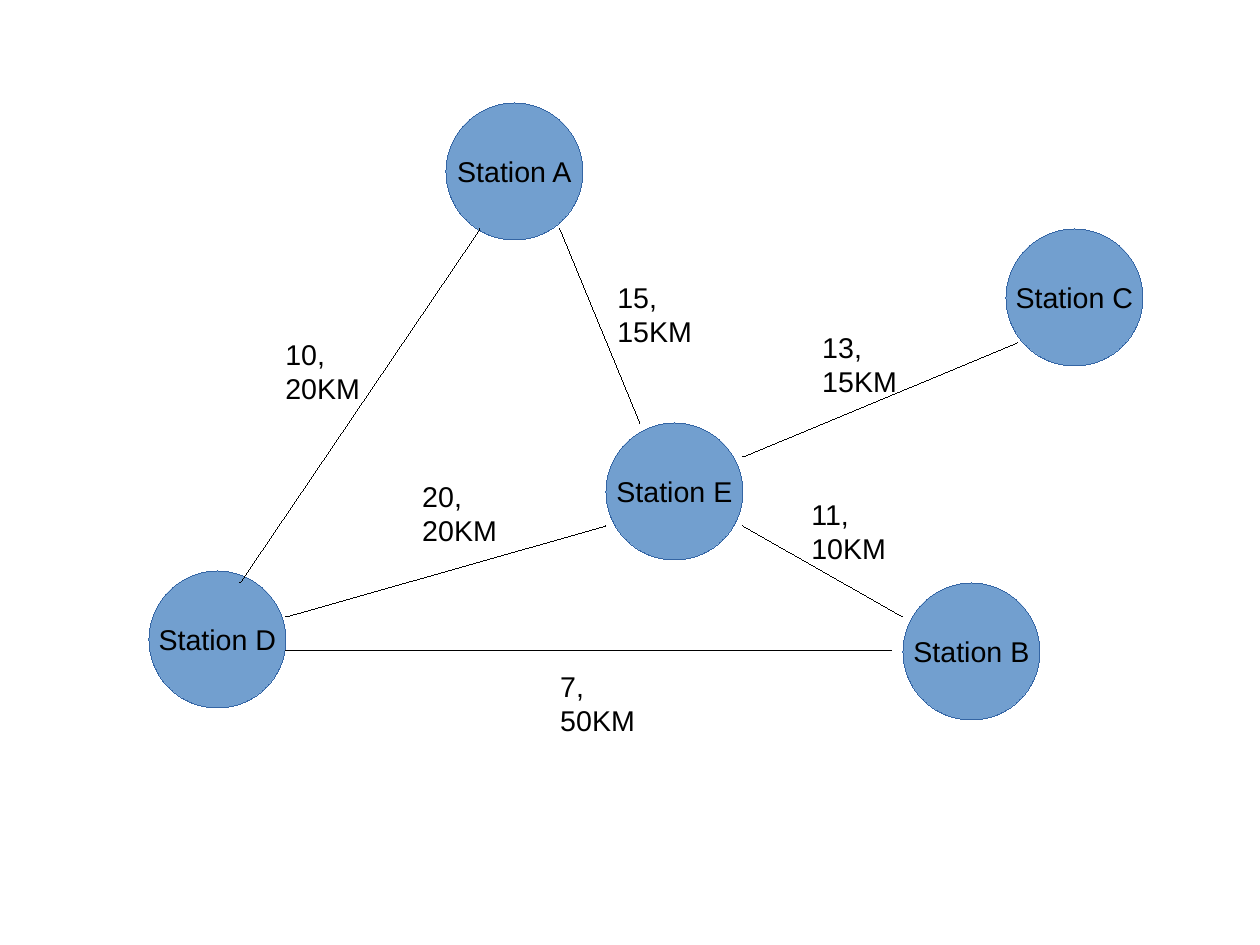
import pptx
import pptx.dml.color
import pptx.enum.shapes
import pptx.enum.text
import pptx.oxml.ns
import pptx.util
import lxml.etree

PX = 8000  # EMU in one px
SIZE = 137
HAIR = pptx.util.Emu(1)  # a width of 0 would fall back to the theme's
COLORS = {"fill": "729FCF", "edge": "3465A4", "ink": "000000"}

# name: left, top
STATIONS = {
    "A": (446, 103),
    "D": (149, 571),
    "B": (903, 583),
    "C": (1006, 229),
    "E": (606, 423),
}

# start, end, label, label place
TRACKS = [
    ((240, 583), (480, 229), "10, 20KM", (274, 331)),
    ((286, 617), (606, 526), "20, 20KM", (411, 473)),
    ((1017, 343), (743, 457), "13, 15KM", (811, 324)),
    ((743, 526), (903, 617), "11, 10KM", (800, 491)),
    ((560, 229), (640, 423), "15, 15KM", (606, 274)),
    ((286, 651), (892, 651), "7, 50KM", (549, 663)),
]


def emu(*pixels):
    return [pptx.util.Emu(value * PX) for value in pixels]


def color(name):
    return pptx.dml.color.RGBColor.from_string(COLORS[name])


def stroke(line, name):
    line.color.rgb = color(name)
    line.width = HAIR


def write(shape, text, align="LEFT", anchor="TOP", wrap=True):
    frame = shape.text_frame
    frame.word_wrap = wrap
    frame.vertical_anchor = pptx.enum.text.MSO_ANCHOR[anchor]
    para = frame.paragraphs[0]
    para.alignment = pptx.enum.text.PP_ALIGN[align]
    run = para.add_run()
    run.text = text
    run.font.name = "Arial"
    run.font.size = pptx.util.Pt(18)
    run.font.color.rgb = color("ink")


def add_station(slide, name, left, top):
    oval = slide.shapes.add_shape(
        pptx.enum.shapes.MSO_SHAPE.OVAL, *emu(left, top, SIZE, SIZE))
    oval.shadow.inherit = False
    oval.fill.solid()
    oval.fill.fore_color.rgb = color("fill")
    stroke(oval.line, "edge")
    write(oval, f"Station {name}", align="CENTER", anchor="MIDDLE", wrap=False)


def add_track(slide, start, end):
    track = slide.shapes.add_connector(
        pptx.enum.shapes.MSO_CONNECTOR.STRAIGHT, *emu(*start, *end))
    stroke(track.line, "ink")
    lxml.etree.SubElement(
        track._element.spPr, pptx.oxml.ns.qn("a:effectLst"))


def add_label(slide, text, left, top):
    box = slide.shapes.add_textbox(*emu(left, top, 114, 75))
    write(box, text)
    box.text_frame.auto_size = pptx.enum.text.MSO_AUTO_SIZE.SHAPE_TO_FIT_TEXT


def main():
    deck = pptx.Presentation()
    deck.slide_width, deck.slide_height = emu(1260, 945)
    slide = deck.slides.add_slide(deck.slide_layouts[6])
    for name, place in STATIONS.items():
        add_station(slide, name, *place)
    for start, end, _, _ in TRACKS:
        add_track(slide, start, end)
    for _, _, text, place in TRACKS:
        add_label(slide, text, *place)
    deck.save("out.pptx")


if __name__ == "__main__":
    main()
